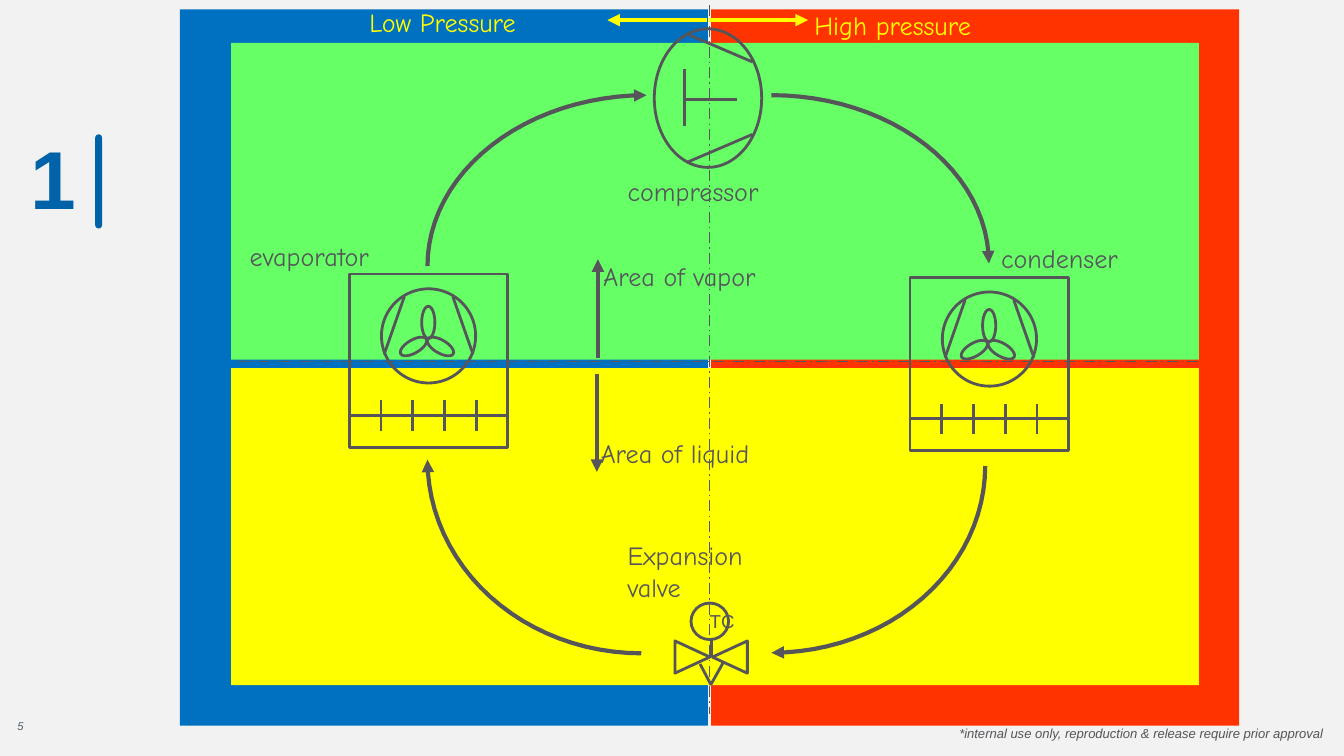
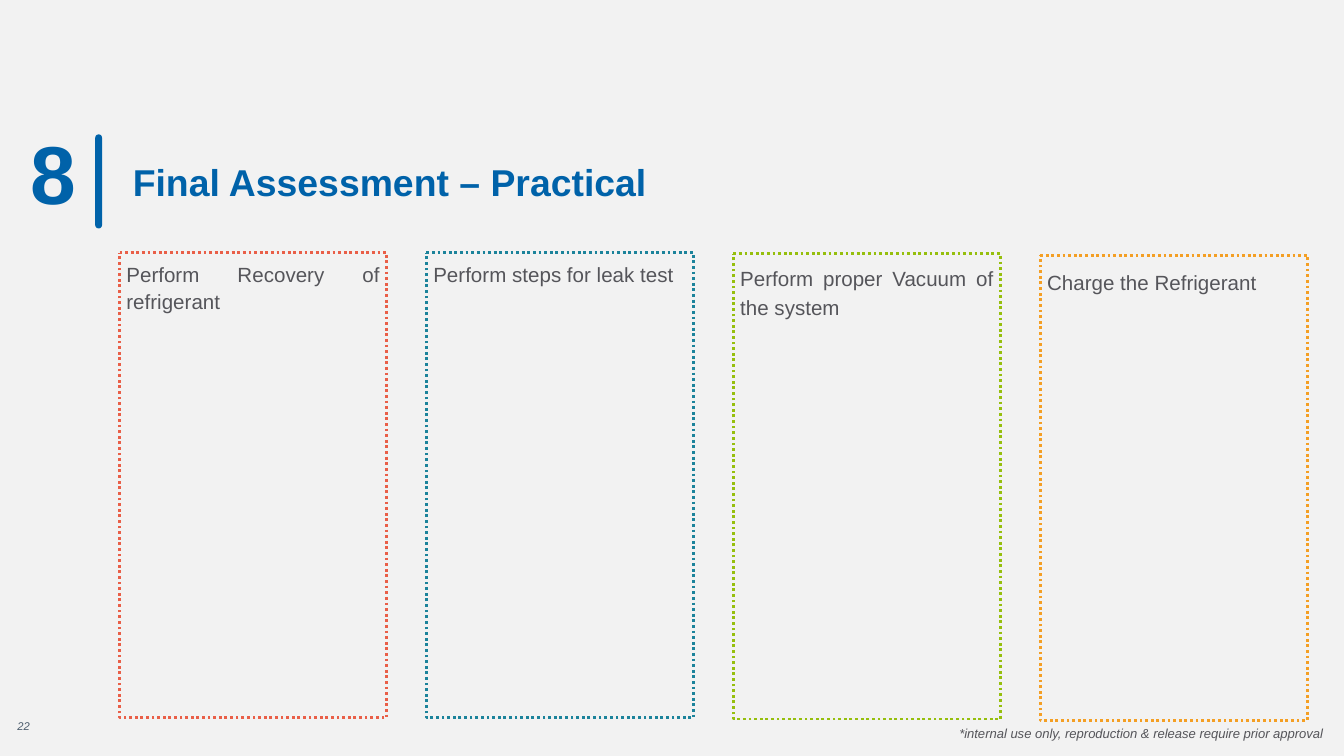
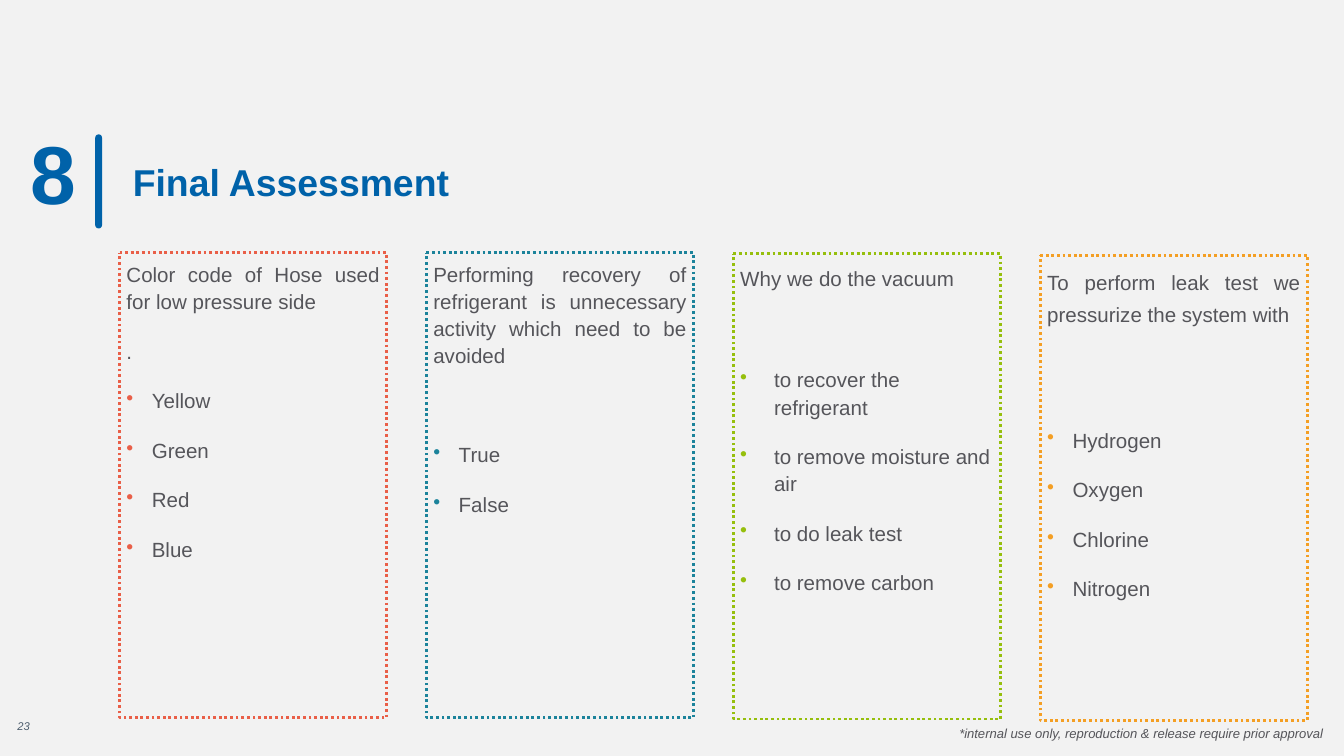
"""Build three training slides on the cooling cycle and its final test."""
import math

import lxml.etree
import pptx
import pptx.dml.color
import pptx.enum.dml
import pptx.enum.shapes
import pptx.enum.text
import pptx.oxml.ns
import pptx.util

Cm = pptx.util.Cm
Pt = pptx.util.Pt
SHAPE = pptx.enum.shapes.MSO_SHAPE
DASH = pptx.enum.dml.MSO_LINE
ALIGN = pptx.enum.text.PP_ALIGN
ANCHOR = pptx.enum.text.MSO_ANCHOR

GREY = "55555A"
NAVY = "0062A9"
YELLOW = "FFFF00"
BODY = "Arial"
HAND = "Comic Neue"
NOTICE = "*internal use only, reproduction & release require prior approval"

# colour, top, line spacing, bullet indent
COLUMNS = [
    ("E95F48", 4.78, 1.1, 0.48),
    ("1C839B", 4.78, 1.1, 0.48),
    ("96BF0D", 4.8, 1.2, 0.64),
    ("F49F24", 4.83, 1.3, 0.48),
]
# heading lines, space after the heading, answers
TASKS = [
    (["Perform Recovery of refrigerant"], 6, []),
    (["Perform steps for leak test"], 6, []),
    (["Perform proper Vacuum of the system"], 6, []),
    (["Charge the Refrigerant"], 12, []),
]
QUIZ = [
    (["Color code of Hose used for low pressure side", "."], 6,
     ["Yellow", "Green", "Red", "Blue"]),
    (["Performing recovery of refrigerant is unnecessary activity which "
      "need to be avoided"], 32.5, ["True", "False"]),
    (["Why we do the vacuum"], 34,
     ["to recover the refrigerant", "to remove moisture and air",
      "to do leak test", "to remove carbon"]),
    (["To perform leak test we pressurize the system with"], 47,
     ["Hydrogen", "Oxygen", "Chlorine", "Nitrogen"]),
]


def tint(code):
    """Turn a hex string into a colour."""
    return pptx.dml.color.RGBColor.from_string(code)


def child(parent, tag, **items):
    """Add a drawing element under a parent."""
    node = lxml.etree.SubElement(parent, pptx.oxml.ns.qn(tag))
    for key, value in items.items():
        node.set(key, value)
    return node


def stroke(item, color, width, dash=None, arrow=False):
    """Style the line of a shape or connector."""
    item.line.color.rgb = tint(color)
    item.line.width = Pt(width)
    if dash:
        item.line.dash_style = dash
    if arrow:
        edge = item.element.spPr.find(pptx.oxml.ns.qn("a:ln"))
        child(edge, "a:tailEnd", type="triangle")


def shape(pane, kind, left, top, width, height, fill=None, line=GREY,
          weight=1.5, dash=None, turn=0):
    """Draw a preset shape, either filled or outlined."""
    item = pane.add_shape(kind, Cm(left), Cm(top), Cm(width), Cm(height))
    item.shadow.inherit = False
    item.rotation = turn
    if fill:
        item.fill.solid()
        item.fill.fore_color.rgb = tint(fill)
        item.line.fill.background()
    else:
        item.fill.background()
        stroke(item, line, weight, dash)
    return item


def line(pane, start, end, color=GREY, width=1.5, dash=None, arrow=False):
    """Draw a straight line, with an arrowhead at its end if asked."""
    item = pane.add_connector(pptx.enum.shapes.MSO_CONNECTOR.STRAIGHT,
                              Cm(start[0]), Cm(start[1]), Cm(end[0]), Cm(end[1]))
    stroke(item, color, width, dash, arrow)
    child(item.element.spPr, "a:effectLst")
    return item


def arc(pane, mid, reach, start):
    """Draw a clockwise quarter turn that ends in an arrowhead."""
    steps = 24
    points = []
    for step in range(steps + 1):
        angle = math.radians(start + 90 * step / steps)
        points.append((Cm(mid[0] + reach[0] * math.cos(angle)),
                       Cm(mid[1] + reach[1] * math.sin(angle))))
    draft = pane.build_freeform(*points[0], scale=1.0)
    draft.add_line_segments(points[1:], close=False)
    item = draft.convert_to_shape()
    item.shadow.inherit = False
    item.fill.background()
    stroke(item, GREY, 2.25, arrow=True)


def write(para, words, size, color=GREY, font=BODY, bold=False, slant=False):
    """Add one styled run to a paragraph."""
    run = para.add_run()
    run.text = words
    run.font.size = Pt(size)
    run.font.name = font
    run.font.color.rgb = tint(color)
    run.font.bold = bold
    run.font.italic = slant


def pad(frame, left, top, right, bottom):
    """Set the four insets of a text frame."""
    frame.margin_left, frame.margin_top = Cm(left), Cm(top)
    frame.margin_right, frame.margin_bottom = Cm(right), Cm(bottom)


def label(pane, words, left, top, width, height, size, **style):
    """Place a wrapped text box and return its frame."""
    frame = pane.add_textbox(Cm(left), Cm(top), Cm(width), Cm(height)).text_frame
    frame.word_wrap = True
    write(frame.paragraphs[0], words, size, **style)
    return frame


def start(deck, page, number, title=None, rise=2.18):
    """Add a slide with its ground, footer, number, bar and title."""
    slide = deck.slides.add_slide(deck.slide_layouts[6])
    slide.background.fill.solid()
    slide.background.fill.fore_color.rgb = tint("F2F2F2")
    pane = slide.shapes
    label(pane, NOTICE, 17.88, 13.59, 7.52, 0.56, 7, slant=True)
    pad(label(pane, page, 0.33, 13.59, 1.17, 0.53, 6,
              color="4D5D6D", slant=True), 0, 0, 0, 0)
    if title:
        frame = label(pane, title, 2.46, 2.54, 11.18, 1.7, 20,
                      color=NAVY, bold=True)
        pad(frame, 0.05, 0.05, 0.05, 0.05)
        frame.vertical_anchor = ANCHOR.MIDDLE
        frame.paragraphs[0].line_spacing = 1.1
    bar = shape(pane, SHAPE.ROUNDED_RECTANGLE, 1.8, 2.54, 0.13, 1.78, fill=NAVY)
    bar.adjustments[0] = 0.5
    label(pane, number, 0.33, rise, 1.6, 2.13, 44, color=NAVY, bold=True)
    return pane


def fan(pane, left, top):
    """Draw a heat exchanger: case, coil with fins, and fan."""
    group = pane.add_group_shape().shapes
    line(group, (left, top + 2.67), (left + 3, top + 2.67))
    shape(group, SHAPE.RECTANGLE, left, top, 3, 3.28)
    for step in range(1, 5):
        fin = left + 0.6 * step
        line(group, (fin, top + 2.39), (fin, top + 2.97))
    shape(group, SHAPE.OVAL, left + 0.61, top + 0.28, 1.78, 1.78)
    for across, down, tall, turn in [(1.37, 0.61, 0.61, 0),
                                     (1.6, 1.09, 0.56, 300),
                                     (1.09, 1.09, 0.56, 60)]:
        shape(group, SHAPE.OVAL, left + across, top + down, 0.25, tall, turn=turn)
    for high, low in [(1.04, 0.66), (1.96, 2.34)]:
        line(group, (left + high, top + 0.43), (left + low, top + 1.52))


def pump(pane):
    """Draw the compressor sign."""
    group = pane.add_group_shape().shapes
    line(group, (12.95, 1.88), (13.92, 1.88))
    line(group, (12.93, 2.39), (12.93, 1.3))
    shape(group, SHAPE.OVAL, 12.07, 0.84, 2.62, 2.03, turn=90)
    line(group, (14.22, 1.17), (12.98, 0.64))
    line(group, (14.22, 2.54), (12.98, 3.07))


def valve(pane):
    """Draw the expansion valve sign."""
    group = pane.add_group_shape().shapes
    for left, turn in [(12.78, 90), (13.49, 270)]:
        shape(group, SHAPE.ISOSCELES_TRIANGLE, left, 12.09, 0.61, 0.66, turn=turn)
    line(group, (13.23, 12.55), (13.44, 12.95))
    line(group, (13.67, 12.52), (13.44, 12.93))
    frame = shape(group, SHAPE.OVAL, 13.06, 11.4, 0.71, 0.69).text_frame
    frame.word_wrap = False
    frame.vertical_anchor = ANCHOR.MIDDLE
    frame.paragraphs[0].alignment = ALIGN.LEFT
    write(frame.paragraphs[0], "TC", 10)
    line(group, (13.44, 12.09), (13.44, 12.42))


def cycle(deck):
    """Build the slide with the cooling cycle."""
    pane = start(deck, "5", "1", rise=2.29)
    for left, color in [(3.4, "0070C0"), (13.44, "FF3300")]:
        shape(pane, SHAPE.RECTANGLE, left, 0.18, 9.98, 13.54, fill=color)
    for top, color in [(6.96, YELLOW), (0.81, "66FF66")]:
        shape(pane, SHAPE.RECTANGLE, 4.37, top, 18.29, 5.99, fill=color)
    for mid, reach, angle in [((14.58, 4.98), (4.11, 3.18), 270),
                              ((14.58, 8.81), (4.04, 3.53), 0),
                              ((12.22, 5.03), (4.14, 3.23), 180),
                              ((12.12, 8.69), (4.04, 3.66), 90)]:
        arc(pane, mid, reach, angle)
    for head, tail in [((4.5, 6.83), (22.68, 6.83)),
                       ((13.41, 0.1), (13.41, 13.49))]:
        line(pane, head, tail, width=0.75, dash=DASH.LONG_DASH_DOT)
    for words, left, top, width, height, color in [
            ("Area of vapor", 11.15, 4.8, 4.6, 0.84, GREY),
            ("Area of liquid", 11.1, 8.15, 4.6, 0.84, GREY),
            ("High pressure", 15.14, 0.05, 4.6, 0.84, YELLOW),
            ("Low Pressure", 6.73, 0, 4.6, 0.84, YELLOW),
            ("compressor", 11.61, 3.2, 3.58, 0.84, GREY),
            ("condenser", 18.67, 4.45, 3.58, 0.84, GREY),
            ("evaporator", 4.47, 4.42, 3.58, 0.84, GREY),
            ("Expansion valve", 11.61, 10.08, 3.58, 1.45, GREY)]:
        label(pane, words, left, top, width, height, 14, color=color, font=HAND)
    for tail, head, color in [((13.36, 0.38), (11.48, 0.38), YELLOW),
                              ((13.39, 0.38), (15.27, 0.38), YELLOW),
                              ((11.28, 7.06), (11.28, 8.92), GREY),
                              ((11.3, 6.76), (11.3, 4.9), GREY)]:
        line(pane, tail, head, color, 2.25, arrow=True)
    fan(pane, 6.6, 5.18)
    fan(pane, 17.2, 5.24)
    pump(pane)
    valve(pane)


def bullet(para, color, indent):
    """Give a paragraph a coloured hanging bullet."""
    props = para._p.get_or_add_pPr()
    props.set("marL", str(Cm(indent)))
    props.set("indent", str(-Cm(indent)))
    child(child(props, "a:buClr"), "a:srgbClr", val=color)
    child(props, "a:buChar", char="•")


def card(pane, left, look, text):
    """Draw one dotted column with its heading and answers."""
    color, top, space, indent = look
    heads, after, picks = text
    item = shape(pane, SHAPE.ROUND_2_DIAG_RECTANGLE, left, top, 5.05, 8.79,
                 line=color, dash=DASH.ROUND_DOT)
    item.adjustments[0] = item.adjustments[1] = 0
    frame = item.text_frame
    frame.word_wrap = True
    frame.vertical_anchor = ANCHOR.TOP
    pad(frame, 0.13, 0.13, 0.13, 0)
    for spot, words in enumerate(heads + picks):
        para = frame.add_paragraph() if spot else frame.paragraphs[0]
        pick = spot >= len(heads)
        if pick:
            bullet(para, color, indent)
        para.alignment = ALIGN.LEFT if pick else ALIGN.JUSTIFY
        para.line_spacing = 1.1 if pick else space
        para.space_before = Pt(6 if spot else 0)
        para.space_after = Pt(6 if pick else after)
        write(para, words, 11)


def test(deck, page, title, texts):
    """Build a slide with four dotted columns."""
    pane = start(deck, page, "8", title)
    for spot, (look, text) in enumerate(zip(COLUMNS, texts)):
        card(pane, 2.26 + 5.8 * spot, look, text)


def main():
    """Build and save the deck."""
    deck = pptx.Presentation()
    deck.slide_width, deck.slide_height = Cm(25.4), Cm(14.29)
    cycle(deck)
    test(deck, "22", "Final Assessment – Practical", TASKS)
    test(deck, "23", "Final Assessment", QUIZ)
    deck.save("out.pptx")


if __name__ == "__main__":
    main()
